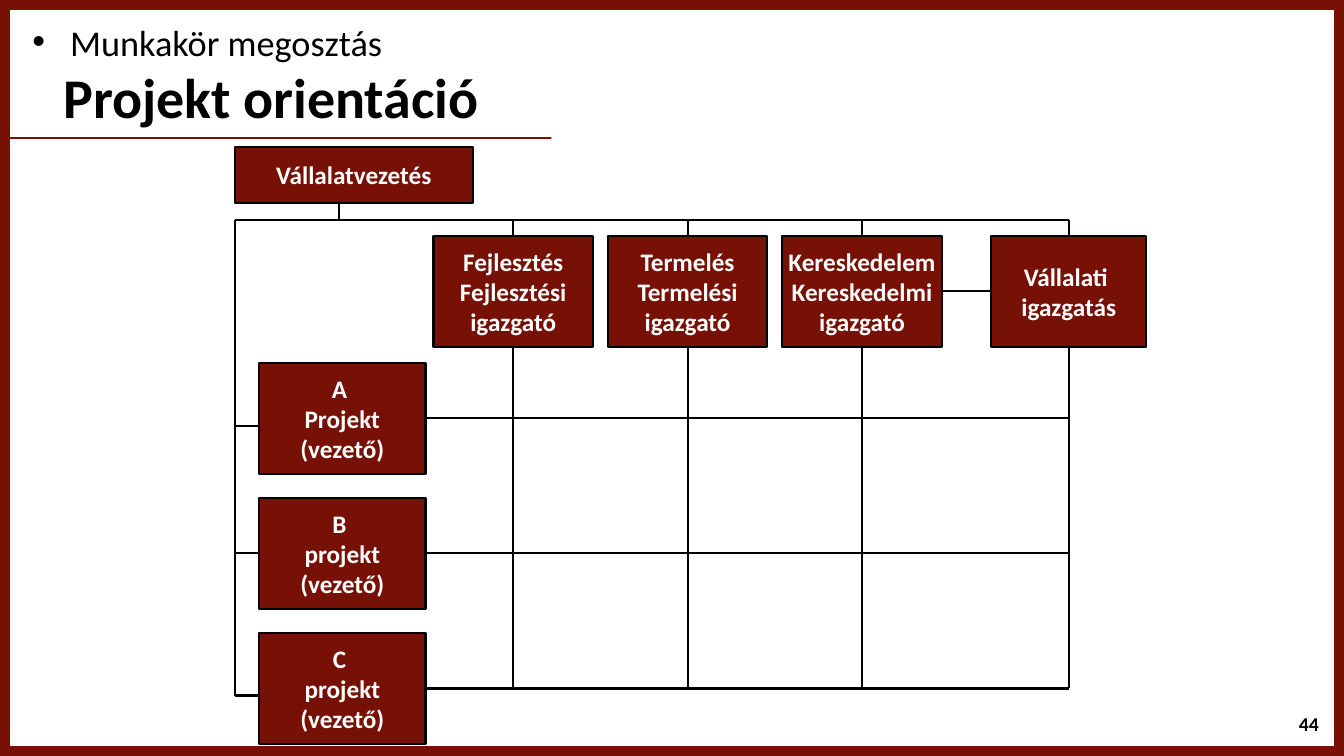
from lxml import etree
from pptx import Presentation
from pptx.dml.color import RGBColor
from pptx.enum.shapes import MSO_CONNECTOR, MSO_SHAPE
from pptx.enum.text import MSO_ANCHOR, MSO_AUTO_SIZE, PP_ALIGN
from pptx.oxml.ns import qn
from pptx.util import Inches, Pt

RED = RGBColor(0x77, 0x11, 0x05)
BLACK = RGBColor(0, 0, 0)
WHITE = RGBColor(255, 255, 255)
RECT = MSO_SHAPE.RECTANGLE
STRAIGHT = MSO_CONNECTOR.STRAIGHT
LEFT, CENTER, RIGHT = PP_ALIGN.LEFT, PP_ALIGN.CENTER, PP_ALIGN.RIGHT
TOP, MIDDLE = MSO_ANCHOR.TOP, MSO_ANCHOR.MIDDLE
NO_FIT = MSO_AUTO_SIZE.NONE

PANELS = [(5.47, 0.12, 7.76, 6.02), (0.1, 0.1, 13.13, 1.26),
          (0.1, 1.38, 13.13, 6.02)]
HEADS = [
    (4.3, 1.58, "Fejlesztés\nFejlesztési\nigazgató"),
    (6.03, 1.58, "Termelés\nTermelési\nigazgató"),
    (7.76, 1.58, "Kereskedelem\nKereskedelmi\nigazgató"),
    (9.83, 1.54, "Vállalati \nigazgatás"),
]
TEAMS = [("A \nProjekt\n(vezető)", 4.23), ("B \nprojekt\n(vezető)", 5.49),
         ("C \nprojekt\n(vezető)", 6.9)]
HEAD_TOP, TEAM_TOP, PITCH, TALL = 2.34, 3.6, 1.34, 1.1
TRUNK, BUS = 2.33, 2.18
LAST_X, LAST_Y = 10.6, 6.83


def apply(item, **values):
    for name, value in values.items():
        setattr(item, name, value)


def place(shape, spot):
    names = ("left", "top", "width", "height")
    apply(shape, **dict(zip(names, map(Inches, spot))))


def write(shape, text, size, color, bold=True, align=CENTER,
          anchor=MIDDLE, wrap=True, spacing=1.0):
    frame = shape.text_frame
    frame.text = text
    apply(frame, word_wrap=wrap, auto_size=NO_FIT, vertical_anchor=anchor)
    for line in frame.paragraphs:
        apply(line, alignment=align, line_spacing=spacing, space_before=Pt(0))
        for run in line.runs:
            apply(run.font, name="Calibri", size=Pt(size), bold=bold)
            run.font.color.rgb = color


def add_rect(slide, spot, color):
    rect = slide.shapes.add_shape(RECT, *map(Inches, spot))
    rect.shadow.inherit = False
    rect.fill.solid()
    rect.fill.fore_color.rgb = color
    rect.line.fill.background()
    return rect


def add_box(slide, spot, text):
    box = add_rect(slide, spot, RED)
    box.line.color.rgb = BLACK
    box.line.width = Pt(1.5)
    write(box, text, 18, WHITE, wrap=False)
    return box


def link(slide, start, end, first=None, last=None):
    """Draw a line; first and last are (box, side) joins."""
    line = slide.shapes.add_connector(STRAIGHT, *map(Inches, start + end))
    if first:
        line.begin_connect(*first)
    if last:
        line.end_connect(*last)
    line.line.color.rgb = BLACK
    line.line.width = Pt(1.5)
    etree.SubElement(line._element.spPr, qn("a:effectLst"))


def add_titles(slide):
    title, body = slide.shapes.title, slide.placeholders[1]
    place(title, (0.53, 0.6, 12.59, 0.79))
    write(title, "Projekt orientáció", 40, BLACK, align=LEFT, spacing=0.9)
    place(body, (0.22, 0.23, 12.59, 0.48))
    body.text_frame.text = "Munkakör megosztás"
    props = body.text_frame.paragraphs[0]._p.get_or_add_pPr()
    props.set("marL", str(Inches(0.25)))
    props.set("indent", str(-Inches(0.25)))
    etree.SubElement(props, qn("a:buNone"))
    write(body, "Munkakör megosztás", 25.9, BLACK, bold=False, align=LEFT,
          anchor=TOP, spacing=0.8)


def add_heads(slide):
    boxes = []
    for left, width, text in HEADS:
        box = add_box(slide, (left, HEAD_TOP, width, TALL), text)
        mid = left + width / 2
        link(slide, (mid, HEAD_TOP), (mid, BUS), first=(box, 0))
        link(slide, (mid, HEAD_TOP + TALL), (mid, LAST_Y), first=(box, 2))
        boxes.append(box)
    mid = HEAD_TOP + TALL / 2
    link(slide, (9.34, mid), (9.83, mid), (boxes[2], 3), (boxes[3], 1))


def add_teams(slide):
    for row, (text, stub) in enumerate(TEAMS):
        top = TEAM_TOP + row * PITCH
        mid = top + TALL / 2
        box = add_box(slide, (2.57, top, 1.65, TALL), text)
        link(slide, (4.22, mid), (LAST_X, mid), first=(box, 3))
        join = (box, 1) if abs(stub - mid) < 0.01 else None
        link(slide, (TRUNK, stub), (2.57, stub), last=join)


def main():
    deck = Presentation()
    apply(deck, slide_width=Inches(13.33), slide_height=Inches(7.5))
    slide = deck.slides.add_slide(deck.slide_layouts[1])
    slide.background.fill.solid()
    slide.background.fill.fore_color.rgb = RED
    tree = slide.shapes._spTree
    for depth, spot in enumerate(PANELS):
        panel = add_rect(slide, spot, WHITE)
        tree.insert(2 + depth, panel._element)
    add_titles(slide)
    number = slide.shapes.add_textbox(*map(Inches, (10.18, 6.98, 3, 0.4)))
    write(number, "44", 14, BLACK, align=RIGHT)
    add_box(slide, (TRUNK, 1.46, 2.36, 0.55), "Vállalatvezetés")
    link(slide, (3.36, 2.02), (3.36, BUS))
    link(slide, (TRUNK, BUS), (LAST_X, BUS))
    link(slide, (TRUNK, BUS), (TRUNK, TEAMS[-1][1]))
    add_heads(slide)
    add_teams(slide)
    deck.save("out.pptx")


if __name__ == "__main__":
    main()
